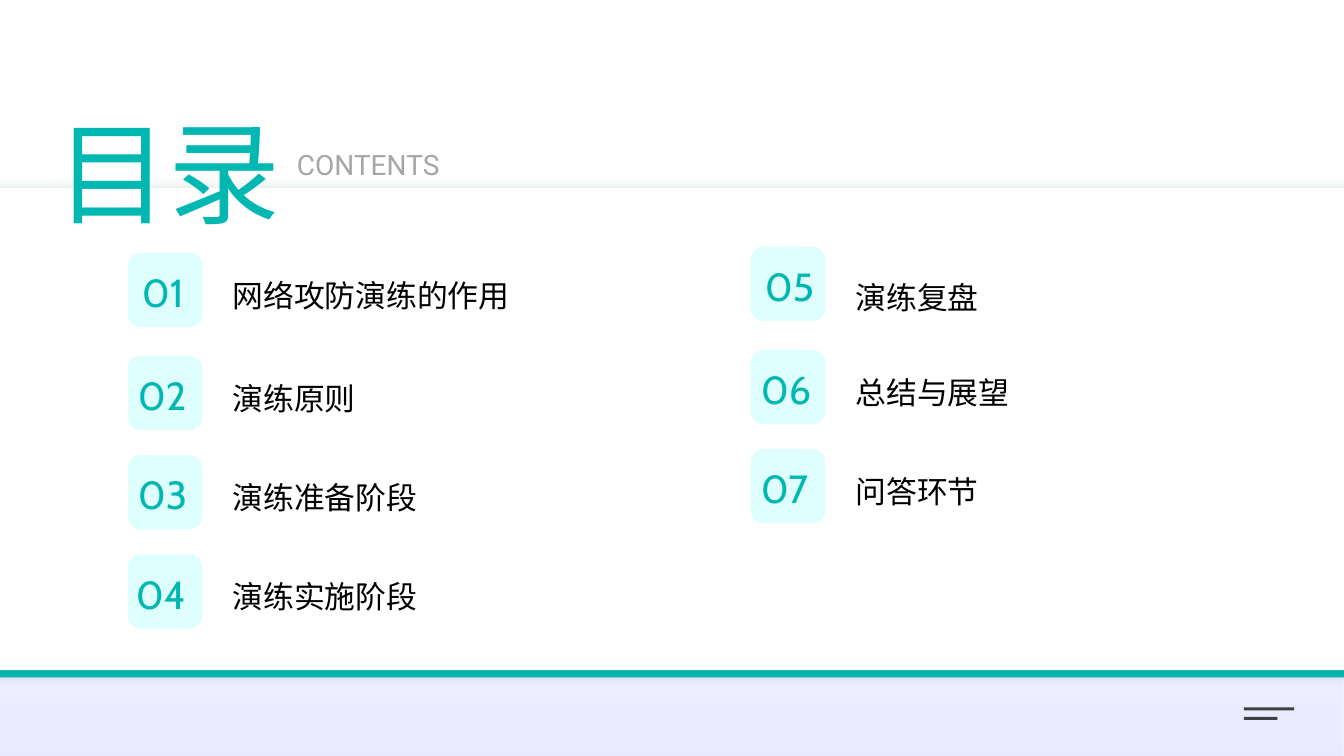
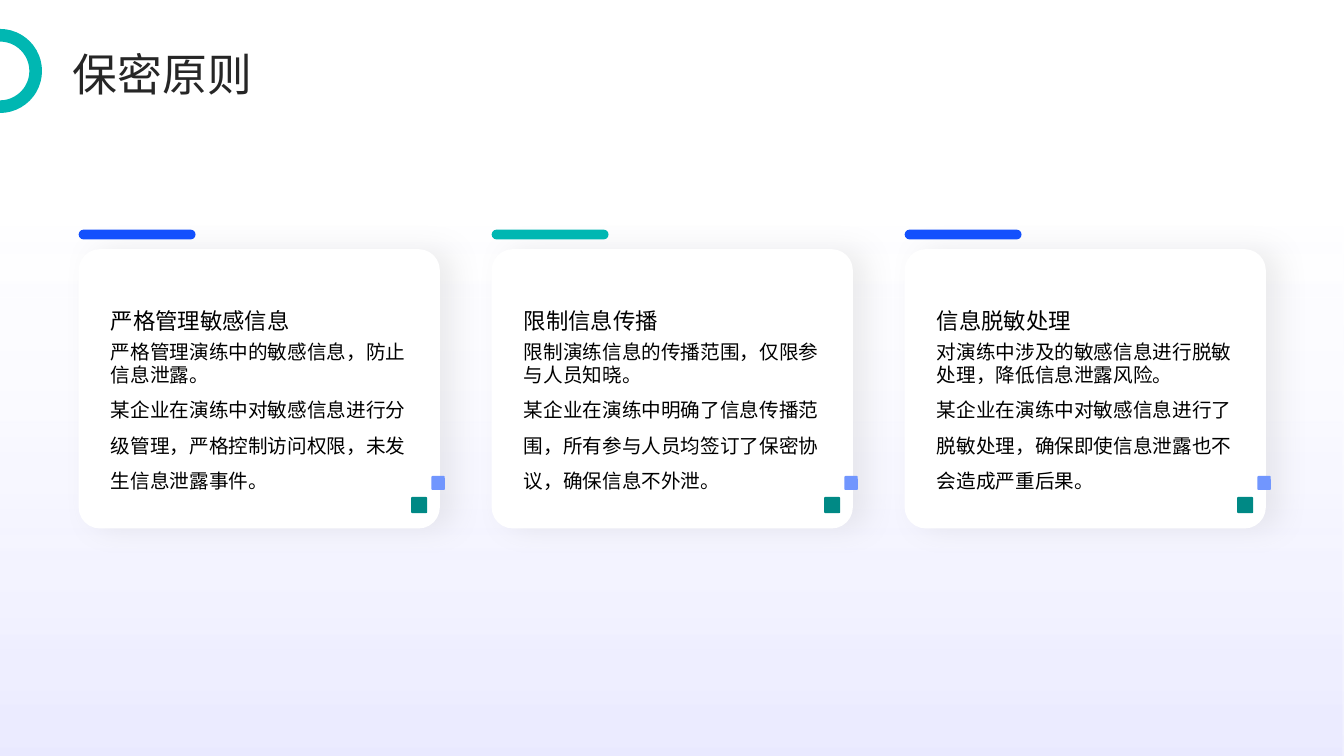
from lxml import etree
from pptx import Presentation
from pptx.dml.color import RGBColor
from pptx.enum.shapes import MSO_SHAPE as Shape
from pptx.enum.text import MSO_ANCHOR as Anchor
from pptx.oxml import parse_xml
from pptx.oxml.ns import nsdecls, qn
from pptx.util import Pt

COLORS = {
    "teal": "00B7B2", "deep_teal": "008985", "shade": "005C59", "mint": "DEFFFE",
    "blue": "1350FD", "light_blue": "7196FE", "white": "FFFFFF", "black": "000000",
    "ink": "262626", "bar": "404040", "gray": "A6A6A6",
    "haze_top": "BCBCFF", "haze_bottom": "7979FF",
}
WIDTH, HEIGHT = 960, 540
LATIN, CJK, CAPTION = "Cabin", "Noto Sans CJK SC", "Roboto"


def color(name):
    return RGBColor.from_string(COLORS[name])


class Slides:
    """Hold the shared style and the current page, and draw each kind of element."""

    def __init__(self):
        self.deck = Presentation()
        self.deck.slide_width, self.deck.slide_height = Pt(WIDTH), Pt(HEIGHT)
        self.page = None

    def new_page(self):
        self.page = self.deck.slides.add_slide(self.deck.slide_layouts[6])
        haze = self.shape(Shape.RECTANGLE, 0, 0, WIDTH, HEIGHT)
        stops = "".join(
            f'<a:gs pos="{pos * 1000}"><a:srgbClr val="{COLORS[name]}">'
            f'<a:alpha val="{alpha * 1000}"/></a:srgbClr></a:gs>'
            for pos, name, alpha in ((29, "haze_top", 0), (100, "haze_bottom", 15)))
        gradient = parse_xml(
            f'<a:gradFill {nsdecls("a")} rotWithShape="1"><a:gsLst>{stops}</a:gsLst>'
            '<a:lin ang="5400000" scaled="0"/></a:gradFill>')
        properties = haze.fill._xPr
        properties.replace(properties.find(qn("a:noFill")), gradient)

    def shape(self, kind, left, top, width, height, fill=None, radius=None):
        item = self.page.shapes.add_shape(kind, Pt(left), Pt(top), Pt(width), Pt(height))
        item.shadow.inherit = False
        item.line.fill.background()
        if fill:
            item.fill.solid()
            item.fill.fore_color.rgb = color(fill)
        else:
            item.fill.background()
        if radius is not None:
            item.adjustments[0] = radius
        return item

    def shadow(self, item, name, alpha, blur, distance=0):
        effects = item._element.spPr.find(qn("a:effectLst"))
        outer = etree.SubElement(
            effects, qn("a:outerShdw"), blurRad=str(Pt(blur)), dist=str(Pt(distance)),
            dir="0", algn="ctr", rotWithShape="0")
        tint = etree.SubElement(outer, qn("a:srgbClr"), val=COLORS[name])
        etree.SubElement(tint, qn("a:alpha"), val=str(alpha * 1000))

    def ring(self, left, top, size, name, weight):
        item = self.shape(Shape.OVAL, left, top, size, size)
        item.line.color.rgb = color(name)
        item.line.width = Pt(weight)

    def text(self, left, top, width, height, lines, size, name="black", font=LATIN,
             spacing=(1.1,), anchor=Anchor.TOP, inset=True):
        box = self.page.shapes.add_textbox(Pt(left), Pt(top), Pt(width), Pt(height))
        frame = box.text_frame
        frame.word_wrap = True
        frame.vertical_anchor = anchor
        if not inset:
            frame.margin_left = frame.margin_right = Pt(0)
            frame.margin_top = frame.margin_bottom = Pt(0)
        for index, (line, leading) in enumerate(zip(lines, spacing)):
            para = frame.paragraphs[0] if index == 0 else frame.add_paragraph()
            para.text = line
            para.line_spacing = leading
            para.font.size = Pt(size)
            para.font.name = font
            para.font.color.rgb = color(name)
            latin = para.font._element.find(qn("a:latin"))
            latin.addnext(etree.Element(qn("a:ea"), typeface=LATIN))

    def entry(self, left, top, number, label, number_shift=0, label_shift=0):
        self.shape(Shape.ROUNDED_RECTANGLE, left, top, 53, 53, "mint")
        self.text(left + 67.7, top - 4.3 + label_shift, 285, 61, [label], 22,
                  spacing=(1.3,), anchor=Anchor.MIDDLE)
        self.text(left + number_shift, top + 5.8, 54, 41, [number], 28, "teal",
                  anchor=Anchor.MIDDLE)

    def card(self, left, accent, heading, lines):
        panel = self.shape(Shape.ROUNDED_RECTANGLE, left, 178, 258, 199.5, "white", 0.076)
        self.shadow(panel, "gray", 20, 20, 10)
        self.shape(Shape.ROUNDED_RECTANGLE, left, 164, 83.5, 7, accent, 0.5)
        self.text(left + 23, 242.5, 212, 114, lines, 14, font=CJK,
                  spacing=(1.0, 1.5), inset=False)
        self.text(left + 23, 191, 212, 47.5, [heading], 16, font=CJK,
                  anchor=Anchor.BOTTOM, inset=False)
        self.shape(Shape.ROUNDED_RECTANGLE, left + 252, 340, 9.5, 10, "light_blue", 0.078)
        self.shape(Shape.ROUNDED_RECTANGLE, left + 237.5, 355, 11.5, 11.5, "deep_teal", 0.078)

    def title(self, words):
        self.ring(-25.5, 25.2, 51, "teal", 9)
        self.text(52, 34, 855, 34, [words], 32, "ink", CJK,
                  anchor=Anchor.MIDDLE, inset=False)


def contents(slides):
    slides.new_page()
    for top, fill in ((139, "teal"), (134, "white")):
        band = slides.shape(Shape.RECTANGLE, -24, top, 1006, 344.8, fill)
        slides.shadow(band, "shade", 14, 8)
    for top, width in ((505.3, 36), (512, 24)):
        slides.shape(Shape.RECTANGLE, 888.5, top, width, 2.2, "bar")
    slides.text(33, 61, 417, 111, ["目录"], 80, "teal")
    slides.text(205, 93.5, 160, 37.5, ["CONTENTS"], 20, "gray", CAPTION, (1.35,))
    row_offsets = (0, 73.6, 144.5, 215.4)
    columns = (
        (91.4, 180.6, (("01", "网络攻防演练的作用", 2.9), ("02", "演练原则"),
                       ("03", "演练准备阶段"), ("04", "演练实施阶段", -1.4))),
        (536.4, 176.3, (("05", "演练复盘", 2.9, 5.8), ("06", "总结与展望"),
                        ("07", "问答环节"))),
    )
    for left, top, entries in columns:
        for offset, entry in zip(row_offsets, entries):
            slides.entry(left, top + offset, *entry)


def confidentiality(slides):
    slides.new_page()
    cards = (
        ("blue", "严格管理敏感信息",
         ("严格管理演练中的敏感信息，防止信息泄露。",
          "某企业在演练中对敏感信息进行分级管理，严格控制访问权限，未发生信息泄露事件。")),
        ("teal", "限制信息传播",
         ("限制演练信息的传播范围，仅限参与人员知晓。",
          "某企业在演练中明确了信息传播范围，所有参与人员均签订了保密协议，确保信息不外泄。")),
        ("blue", "信息脱敏处理",
         ("对演练中涉及的敏感信息进行脱敏处理，降低信息泄露风险。",
          "某企业在演练中对敏感信息进行了脱敏处理，确保即使信息泄露也不会造成严重后果。")),
    )
    for index, card in enumerate(cards):
        slides.card(56.2 + 295 * index, *card)
    slides.title("保密原则")


def main():
    slides = Slides()
    contents(slides)
    confidentiality(slides)
    slides.deck.save("out.pptx")


if __name__ == "__main__":
    main()
